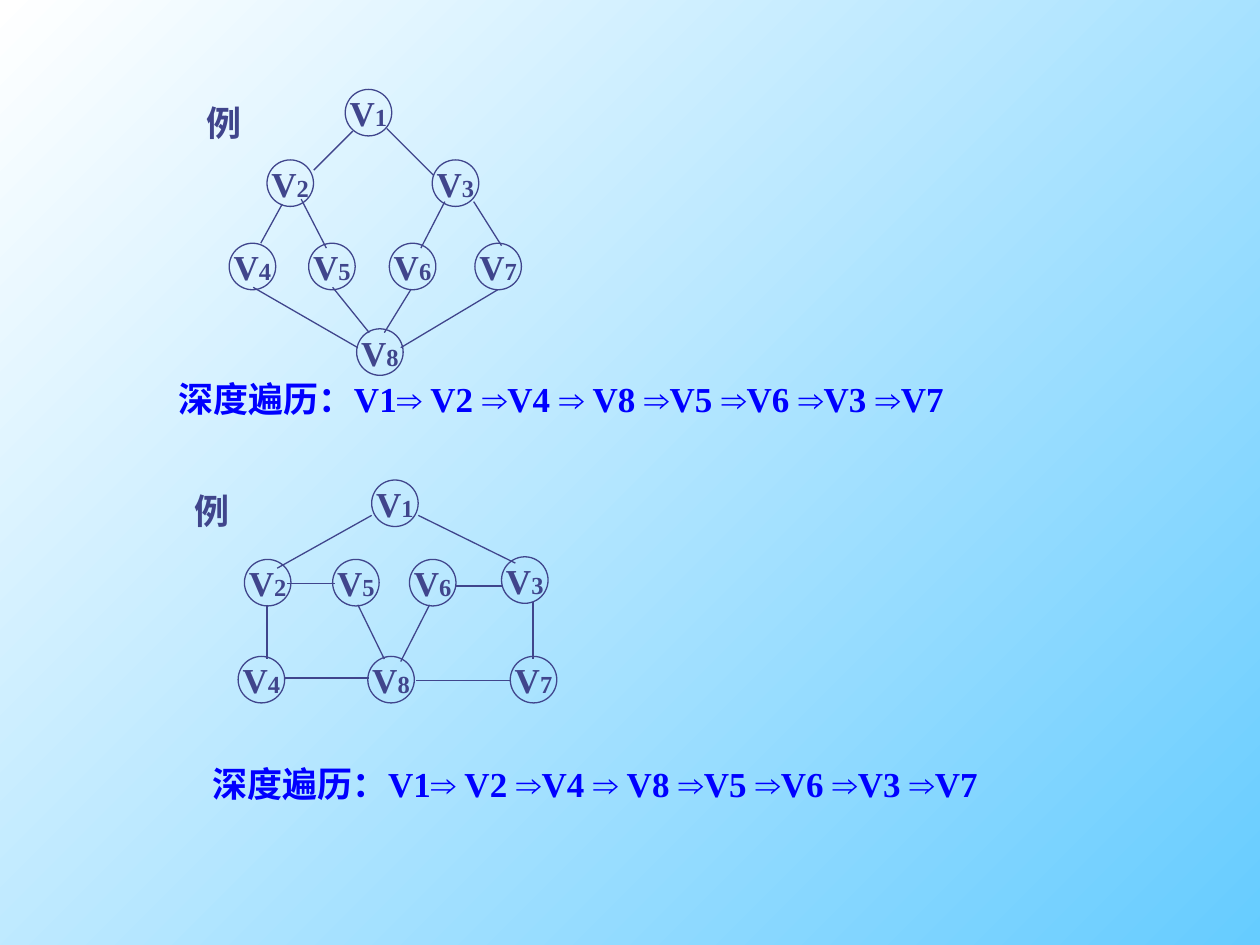
from lxml.etree import SubElement
from pptx import Presentation
from pptx.dml.color import RGBColor
from pptx.enum.shapes import MSO_CONNECTOR as Connector, MSO_SHAPE as Shape
from pptx.enum.text import MSO_ANCHOR as Anchor, MSO_AUTO_SIZE as AutoSize, PP_ALIGN as Align
from pptx.oxml.ns import qn
from pptx.util import Pt

COLORS = {"ink": "40458C", "path": "0000FF", "sky": "66CCFF", "white": "FFFFFF"}
LATIN, SYMBOL = "Times New Roman", "Arial"
NODE_SIZE = 26.6
TEXT_HEIGHT = 31.7

GRAPHS = [
    {
        "label": (110.9, 54),
        "nodes": {
            1: (197.3, 51.1), 2: (152.6, 91.4), 3: (247, 91.4), 4: (131, 139),
            5: (176.4, 139), 6: (222.5, 139), 7: (271.4, 139), 8: (203.8, 187.9),
        },
        "edges": [
            (201.6, 74.9, 179.3, 97.2), (221, 73.4, 247.7, 100.1),
            (161.3, 116.6, 149, 139), (172.1, 113.8, 186.5, 141.8),
            (254.2, 115.2, 240.5, 141.8), (270.7, 115.2, 286.6, 140.4),
            (190.1, 164.2, 211, 190.1), (234.7, 165.6, 219.6, 190.1),
            (144.7, 164.2, 204.5, 198.7), (284.4, 165.6, 229, 198.7),
        ],
        "traversal": (95, 212.4),
    },
    {
        "label": (103.7, 275.8),
        "nodes": {
            1: (212.4, 274.3), 2: (139.7, 319.7), 3: (286.6, 318.2), 4: (136.1, 375.1),
            5: (190.1, 319.7), 6: (234, 319.7), 7: (291.6, 375.1), 8: (210.2, 375.1),
        },
        "edges": [
            (212.4, 294.5, 158.4, 324.7), (239, 294.5, 294.5, 321.8),
            (164.2, 333.4, 191.5, 333.4), (259.9, 334.8, 287.3, 334.8),
            (152.6, 345.6, 152.6, 376.6), (162.7, 387.4, 211, 387.4),
            (237.6, 388.8, 291.6, 388.8), (304.6, 344.2, 304.6, 376.6),
            (204.5, 345.6, 219.6, 376.6), (245.5, 345.6, 229, 378),
        ],
        "traversal": (114.5, 432),
    },
]
LABEL = "例"
ARROW = "⇒"
TRAVERSAL = ["深度遍历：V1", " V2 ", "V4 ", " V8 ", "V5 ", "V6 ", "V3 ", "V7"]


def color(name):
    return RGBColor.from_string(COLORS[name])


def add_run(paragraph, text, size=20, ink="ink", face=LATIN):
    run = paragraph.add_run()
    run.text = text
    run.font.size = Pt(size)
    run.font.name = face
    run.font.bold = True
    run.font.color.rgb = color(ink)


def add_node(shapes, number, left, top):
    node = shapes.add_shape(Shape.OVAL, Pt(left), Pt(top), Pt(NODE_SIZE), Pt(NODE_SIZE))
    node.shadow.inherit = False
    node.fill.background()
    node.line.color.rgb = color("ink")
    node.line.width = Pt(0.75)
    frame = node.text_frame
    frame.word_wrap = False
    frame.vertical_anchor = Anchor.MIDDLE
    name = frame.paragraphs[0]
    name.alignment = Align.CENTER
    add_run(name, "V")
    add_run(name, str(number), size=14)


def add_edge(shapes, ends):
    edge = shapes.add_connector(Connector.STRAIGHT, *map(Pt, ends))
    edge.line.color.rgb = color("ink")
    edge.line.width = Pt(0.75)
    SubElement(edge._element.spPr, qn("a:effectLst"))


def add_text(shapes, left, top, width, anchor, align):
    frame = shapes.add_textbox(Pt(left), Pt(top), Pt(width), Pt(TEXT_HEIGHT)).text_frame
    frame.word_wrap = False
    frame.auto_size = AutoSize.SHAPE_TO_FIT_TEXT
    frame.vertical_anchor = anchor
    frame.paragraphs[0].alignment = align
    return frame.paragraphs[0]


def add_traversal(shapes, left, top):
    order = add_text(shapes, left, top, 467.3, Anchor.TOP, Align.LEFT)
    for index, step in enumerate(TRAVERSAL):
        if index:
            add_run(order, ARROW, ink="path", face=SYMBOL)
        add_run(order, step, ink="path")


def main():
    deck = Presentation()
    deck.slide_width, deck.slide_height = Pt(720), Pt(540)
    slide = deck.slides.add_slide(deck.slide_layouts[6])

    backdrop = slide.background.fill
    backdrop.gradient()
    backdrop.gradient_angle = 135
    for stop, position, name in zip(backdrop.gradient_stops, (0, 1), ("sky", "white")):
        stop.position = position
        stop.color.rgb = color(name)

    for graph in GRAPHS:
        members = slide.shapes.add_group_shape().shapes
        for number, place in graph["nodes"].items():
            add_node(members, number, *place)
        for ends in graph["edges"]:
            add_edge(members, ends)
        add_run(add_text(members, *graph["label"], 34.6, Anchor.MIDDLE, Align.CENTER), LABEL)

    for graph in GRAPHS:
        add_traversal(slide.shapes, *graph["traversal"])

    deck.save("out.pptx")


if __name__ == "__main__":
    main()
